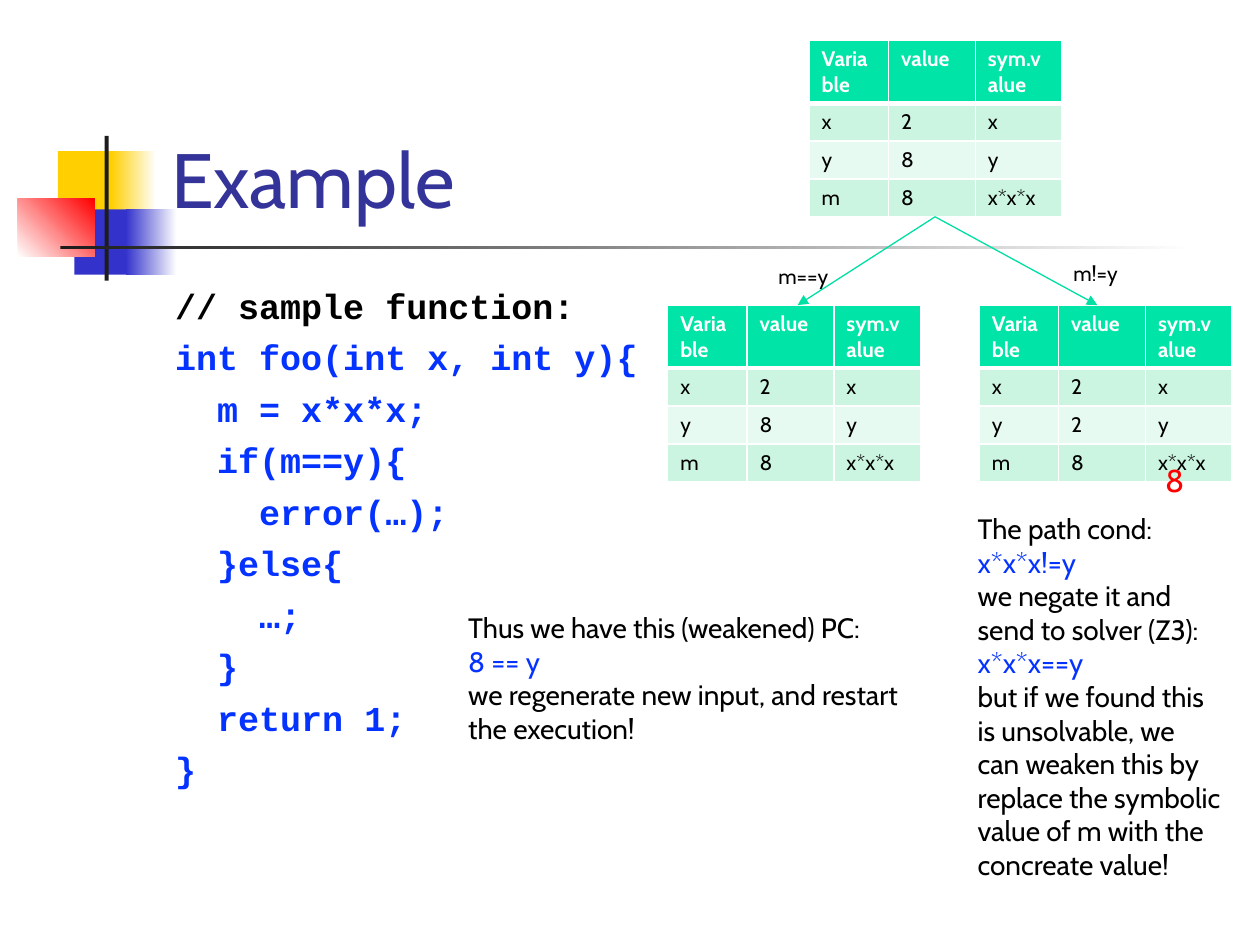
"""Build the slide on symbolic execution of a sample function."""
from lxml import etree
from pptx import Presentation
from pptx.dml.color import RGBColor
from pptx.enum.shapes import MSO_CONNECTOR, MSO_SHAPE
from pptx.enum.text import MSO_ANCHOR
from pptx.oxml.ns import qn
from pptx.util import Cm, Pt

RECT = MSO_SHAPE.RECTANGLE
LINE = MSO_CONNECTOR.STRAIGHT
TOP, BOTTOM = MSO_ANCHOR.TOP, MSO_ANCHOR.BOTTOM
SANS, MONO = "Cabin", "Courier New"

HUES = {
    "black": "000000", "white": "FFFFFF", "gold": "FFCF01", "navy": "3333CC",
    "red": "FF0000", "ink": "1C1C1C", "title": "333399", "blue": "0432FF",
    "head": "00E4A8", "odd": "CCF5E1", "even": "E7FAF1", "arrow": "00DFA4",
}

DECOR = [
    ((1.17, 3.05, 1.22, 1.32), ["gold"], 0),
    ((2.24, 3.05, 0.91, 1.32), ["gold", "white"], 0),
    ((1.5, 4.22, 1.17, 1.32), ["navy"], 0),
    ((2.54, 4.22, 1.02, 1.32), ["navy", "white"], 0),
    ((0.36, 4.01, 1.55, 1.17), ["white", "red"], 45),
    ((2.11, 2.74, 0.08, 2.92), ["ink"], 0),
    ((1.22, 4.95, 22.86, 0.08), ["ink", "white"], 0),
]

CODE = [
    ("// sample function:", "black"),
    ("int foo(int x, int y){", "blue"),
    ("  m = x*x*x;", "blue"),
    ("  if(m==y){", "blue"),
    ("    error(…);", "blue"),
    ("  }else{", "blue"),
    ("    …;", "blue"),
    ("  }", "blue"),
    ("  return 1;", "blue"),
    ("}", "blue"),
]
PATH = [
    ("The path cond:", "black"),
    ("x*x*x!=y", "blue"),
    ("we negate it and send to solver (Z3):", "black"),
    ("x*x*x==y", "blue"),
    ("but if we found this is unsolvable, we can weaken this by replace "
     "the symbolic value of m with the concreate value!", "black"),
]
THUS = [
    ("Thus we have this (weakened) PC:", "black"),
    ("8 == y", "blue"),
    ("we regenerate new input, and restart the execution!", "black"),
]

TEXTS = [
    ((3.2, 0.58, 21.64, 4.06), [("Example", "title")], 44, SANS, BOTTOM),
    ((3.28, 5.61, 21.59, 11.43), CODE, 20, MONO, TOP),
    ((21.39, 5.13, 3.18, 0.76), [("m!=y", "black")], 12, SANS, TOP),
    ((15.44, 5.18, 3.18, 0.76), [("m==y", "black")], 12, SANS, TOP),
    ((19.46, 10.19, 5.44, 8.46), PATH, 16, SANS, TOP),
    ((9.19, 12.19, 9.78, 3), THUS, 16, SANS, TOP),
]
MARK = ((23.24, 9.17, 1.6, 1.02), [("8", "red")], 18, SANS, TOP)

STATES = [(16.31, 0.81, "8"), (19.74, 6.15, "2"), (13.46, 6.15, "8")]
COLS = [1.6, 1.75, 1.75]
ROWS = [1.27, 0.76, 0.76, 0.76]
START = (18.85, 4.37)
ENDS = [(16.08, 6.15), (22.12, 6.15)]


def rgb(name):
    return RGBColor.from_string(HUES[name])


def write(frame, lines, size, face, bold=False, gap=0):
    for i, (words, hue) in enumerate(lines):
        para = frame.add_paragraph() if i else frame.paragraphs[0]
        para.space_before = Pt(gap if i else 0)
        run = para.add_run()
        run.text = words
        font = run.font
        font.size, font.name, font.bold = Pt(size), face, bold
        font.color.rgb = rgb(hue)


def add_text(shapes, box, lines, size, face, anchor):
    frame = shapes.add_textbox(*map(Cm, box)).text_frame
    frame.word_wrap = True
    frame.vertical_anchor = anchor
    code = face == MONO
    write(frame, lines, size, face, code, 5.4 if code else 0)


def add_decor(shapes, box, hues, angle):
    shape = shapes.add_shape(RECT, *map(Cm, box))
    shape.shadow.inherit = False
    shape.line.fill.background()
    if len(hues) == 1:
        shape.fill.solid()
        shape.fill.fore_color.rgb = rgb(hues[0])
        return
    shape.fill.gradient()
    shape.fill.gradient_angle = angle
    for stop, hue in zip(shape.fill.gradient_stops, hues):
        stop.color.rgb = rgb(hue)


def add_edges(cell, row):
    props = cell._tc.get_or_add_tcPr()
    wide = {(0, "B"), (1, "T")}
    for side in "LRTB":
        width = Pt(3 if (row, side) in wide else 1)
        edge = etree.SubElement(props, qn(f"a:ln{side}"), w=str(width))
        fill = etree.SubElement(edge, qn("a:solidFill"))
        etree.SubElement(fill, qn("a:srgbClr"), val=HUES["white"])


def add_state(shapes, left, top, y):
    data = [("Variable", "value", "sym.value"),
            ("x", "2", "x"), ("y", y, "y"), ("m", "8", "x*x*x")]
    box = map(Cm, (left, top, sum(COLS), sum(ROWS)))
    table = shapes.add_table(len(ROWS), len(COLS), *box).table
    for col, width in zip(table.columns, COLS):
        col.width = Cm(width)
    for i, items in enumerate(data):
        table.rows[i].height = Cm(ROWS[i])
        head = i == 0
        for j, words in enumerate(items):
            cell = table.cell(i, j)
            add_edges(cell, i)
            cell.fill.solid()
            cell.fill.fore_color.rgb = rgb(
                "head" if head else "odd" if i % 2 else "even")
            hue = "white" if head else "black"
            write(cell.text_frame, [(words, hue)], 12, SANS, head)


def add_arrow(shapes, end):
    arrow = shapes.add_connector(LINE, *map(Cm, START + end))
    arrow.line.color.rgb = rgb("arrow")
    arrow.line.width = Pt(0.75)
    props = arrow._element.spPr
    etree.SubElement(props.find(qn("a:ln")), qn("a:tailEnd"), type="triangle")
    etree.SubElement(props, qn("a:effectLst"))


def main():
    deck = Presentation()
    deck.slide_width, deck.slide_height = Cm(25.4), Cm(19.05)
    shapes = deck.slides.add_slide(deck.slide_layouts[6]).shapes
    for item in DECOR:
        add_decor(shapes, *item)
    for item in TEXTS:
        add_text(shapes, *item)
    for item in STATES:
        add_state(shapes, *item)
    for end in ENDS:
        add_arrow(shapes, end)
    add_text(shapes, *MARK)
    deck.save("out.pptx")


if __name__ == "__main__":
    main()
